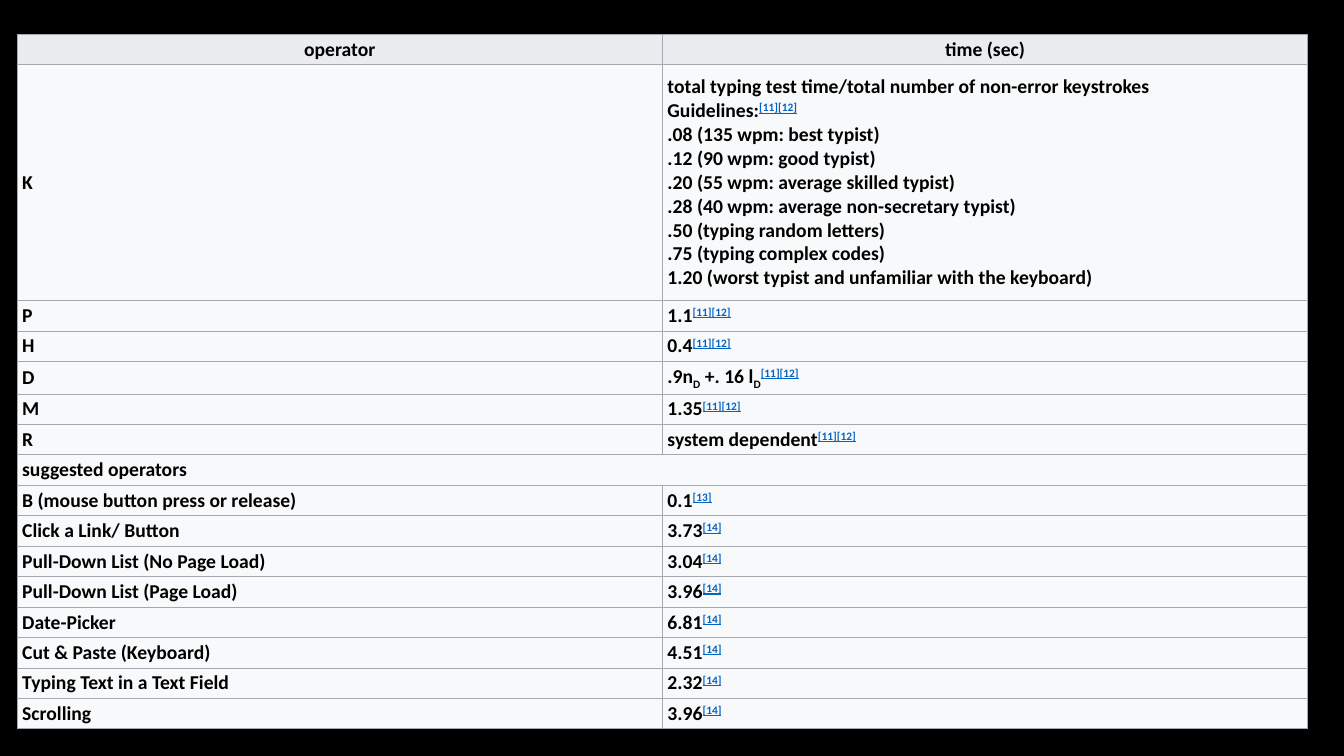
from dataclasses import dataclass

from lxml.etree import SubElement
from pptx import Presentation
from pptx.dml.color import RGBColor
from pptx.enum.text import MSO_ANCHOR, PP_ALIGN
from pptx.oxml.ns import qn
from pptx.util import Inches, Pt


@dataclass(frozen=True)
class Theme:
    font: str = "Calibri"
    size: int = 14
    background: str = "000000"
    ink: str = "000000"
    citation: str = "0563C1"
    header_fill: str = "EAECF0"
    body_fill: str = "F8F9FA"
    border: str = "A2A9B1"
    border_width: float = 0.75


THEME = Theme()
PLAIN, SUB, CITE = "plain", "sub", "cite"
BASELINES = {SUB: "-25000", CITE: "30000"}

HEADERS = ("operator", "time (sec)")
GUIDELINES = (
    ".08 (135 wpm: best typist)",
    ".12 (90 wpm: good typist)",
    ".20 (55 wpm: average skilled typist)",
    ".28 (40 wpm: average non-secretary typist)",
    ".50 (typing random letters)",
    ".75 (typing complex codes)",
    "1.20 (worst typist and unfamiliar with the keyboard)",
)
CLASSIC = "[11][12]"
WEB = "[14]"


def cited(time, source):
    return [(time, PLAIN), (source, CITE)]


OPERATORS = [
    ("K", cited("total typing test time/total number of non-error keystrokes\nGuidelines:", CLASSIC)
     + [("\n" + "\n".join(GUIDELINES), PLAIN)]),
    ("P", cited("1.1", CLASSIC)),
    ("H", cited("0.4", CLASSIC)),
    ("D", [(".9n", PLAIN), ("D", SUB), (" +. 16 l", PLAIN), ("D", SUB), (CLASSIC, CITE)]),
    ("M", cited("1.35", CLASSIC)),
    ("R", cited("system dependent", CLASSIC)),
    ("suggested operators", None),
    ("B (mouse button press or release)", cited("0.1", "[13]")),
    ("Click a Link/ Button", cited("3.73", WEB)),
    ("Pull-Down List (No Page Load)", cited("3.04", WEB)),
    ("Pull-Down List (Page Load)", cited("3.96", WEB)),
    ("Date-Picker", cited("6.81", WEB)),
    ("Cut & Paste (Keyboard)", cited("4.51", WEB)),
    ("Typing Text in a Text Field", cited("2.32", WEB)),
    ("Scrolling", cited("3.96", WEB)),
]


def add_break(paragraph):
    """Add a line break that keeps the table's type size."""
    paragraph.add_line_break()
    line_break = paragraph._p.findall(qn("a:br"))[-1]
    SubElement(line_break, qn("a:rPr"), sz=str(THEME.size * 100))


def add_text(paragraph, text, role):
    for index, line in enumerate(text.split("\n")):
        if index:
            add_break(paragraph)
        if not line:
            continue
        run = paragraph.add_run()
        run.text = line
        run.font.name = THEME.font
        run.font.size = Pt(THEME.size)
        run.font.bold = True
        run.font.underline = role == CITE
        run.font.color.rgb = RGBColor.from_string(THEME.citation if role == CITE else THEME.ink)
        if role in BASELINES:
            run.font._element.set("baseline", BASELINES[role])


def style_cell(cell, fill):
    cell.margin_left = cell.margin_right = Inches(0.05)
    cell.margin_top = cell.margin_bottom = Inches(0.03)
    cell.vertical_anchor = MSO_ANCHOR.MIDDLE
    properties = cell._tc.get_or_add_tcPr()
    for side in ("a:lnL", "a:lnR", "a:lnT", "a:lnB"):
        line = SubElement(properties, qn(side), w=str(Pt(THEME.border_width)))
        solid = SubElement(line, qn("a:solidFill"))
        SubElement(solid, qn("a:srgbClr"), val=THEME.border)
    cell.fill.solid()
    cell.fill.fore_color.rgb = RGBColor.from_string(fill)


def fill_cell(cell, pieces, align=PP_ALIGN.LEFT):
    paragraph = cell.text_frame.paragraphs[0]
    paragraph.alignment = align
    for text, role in pieces:
        add_text(paragraph, text, role)


def add_operator_table(slide, left, top, width, height):
    guideline_height = Inches(2.34)
    table = slide.shapes.add_table(len(OPERATORS) + 1, len(HEADERS), left, top, width, height).table
    table.first_row = table.horz_banding = False
    for row in table.rows:
        row.height = (height - guideline_height) // len(OPERATORS)
    table.rows[1].height = guideline_height

    for column, header in enumerate(HEADERS):
        cell = table.cell(0, column)
        style_cell(cell, THEME.header_fill)
        fill_cell(cell, [(header, PLAIN)], PP_ALIGN.CENTER)
    for row, (operator, time) in enumerate(OPERATORS, start=1):
        operator_cell, time_cell = table.cell(row, 0), table.cell(row, 1)
        for cell in (operator_cell, time_cell):
            style_cell(cell, THEME.body_fill)
        fill_cell(operator_cell, [(operator, PLAIN)])
        if time is None:
            operator_cell.merge(time_cell)
        else:
            fill_cell(time_cell, time)


def main():
    presentation = Presentation()
    presentation.slide_width = Inches(13.33)
    presentation.slide_height = Inches(7.5)
    slide = presentation.slides.add_slide(presentation.slide_layouts[6])
    background = slide.background.fill
    background.solid()
    background.fore_color.rgb = RGBColor.from_string(THEME.background)
    add_operator_table(slide, Inches(0.17), Inches(0.34), Inches(12.8), Inches(6.87))
    presentation.save("out.pptx")


if __name__ == "__main__":
    main()
